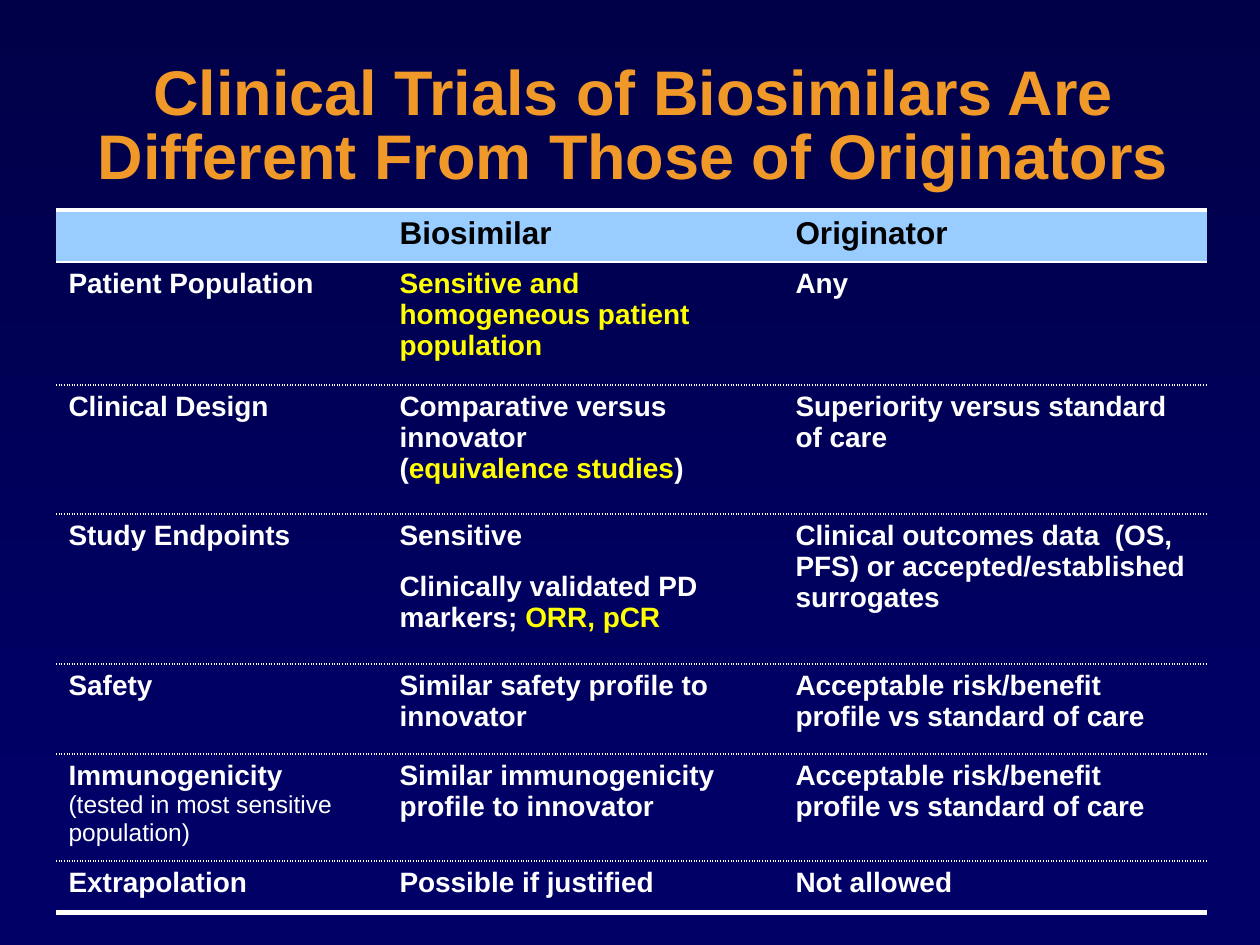
from dataclasses import dataclass

from lxml.etree import SubElement
from pptx import Presentation
from pptx.dml.color import RGBColor
from pptx.enum.shapes import MSO_SHAPE
from pptx.enum.text import MSO_ANCHOR, PP_ALIGN
from pptx.oxml import parse_xml
from pptx.oxml.ns import nsdecls, qn
from pptx.util import Emu, Pt

PX = 914400 / 126
COLORS = {
    "top": "000049",
    "navy": "000066",
    "title": "F09828",
    "header": "99CCFF",
    "white": "FFFFFF",
    "black": "000000",
    "yellow": "FFFF00",
}
NO_STYLE = "{2D5ABB26-0587-4C30-8999-92F81FD0307C}"


@dataclass(frozen=True)
class Run:
    text: str
    color: str = "white"
    size: int = 16
    bold: bool = True


@dataclass(frozen=True)
class Para:
    runs: tuple[Run, ...]
    before: float = 0


@dataclass(frozen=True)
class Rule:
    width: int
    dash: str = "solid"


@dataclass(frozen=True)
class Row:
    height: int
    cells: tuple[tuple[Para, ...], ...]
    fill: str | None = None


def px(n: int) -> Emu:
    return Emu(round(n * PX))


def rgb(name: str) -> RGBColor:
    return RGBColor.from_string(COLORS[name])


def text(s: str, **style) -> tuple[Para, ...]:
    return (Para((Run(s, **style),)),)


def write(p, para: Para) -> None:
    p.space_before = Pt(para.before)
    for run in para.runs:
        r = p.add_run()
        r.text = run.text
        formats = {"name": "Arial", "size": Pt(run.size), "bold": run.bold}
        for key, value in formats.items():
            setattr(r.font, key, value)
        r.font.color.rgb = rgb(run.color)


def add_rules(cell, top: Rule, bottom: Rule) -> None:
    tcPr = cell._tc.get_or_add_tcPr()
    for i, (tag, rule) in enumerate((("lnT", top), ("lnB", bottom))):
        tcPr.insert(i, parse_xml(
            f'<a:{tag} {nsdecls("a")} w="{Pt(rule.width)}"><a:solidFill>'
            f'<a:srgbClr val="{COLORS["white"]}"/></a:solidFill>'
            f'<a:prstDash val="{rule.dash}"/></a:{tag}>'))


def add_backdrop(s) -> None:
    s.background.fill.solid()
    s.background.fill.fore_color.rgb = rgb("navy")
    sp = s.shapes.add_shape(MSO_SHAPE.RECTANGLE, 0, 0, px(1260), px(809))
    sp.shadow.inherit = False
    sp.line.fill.background()
    sp.fill.gradient()
    sp.fill.gradient_angle = 270
    for stop, name in zip(sp.fill.gradient_stops, ("top", "navy")):
        stop.color.rgb = rgb(name)
    s.shapes._spTree.insert(2, sp._element)


def add_title(s, title: str) -> None:
    sp = s.shapes.title
    box = {"left": 9, "top": 107, "width": 1249, "height": 92}
    for key, value in box.items():
        setattr(sp, key, px(value))
    tf = sp.text_frame
    tf.word_wrap = True
    tf.vertical_anchor = MSO_ANCHOR.BOTTOM
    p = tf.paragraphs[0]
    p.alignment = PP_ALIGN.CENTER
    p.line_spacing = 0.85
    write(p, Para((Run(title, "title", 36),)))
    rPr = p.runs[0].font._element
    effects = parse_xml(
        f'<a:effectLst {nsdecls("a")}><a:outerShdw blurRad="38100" dist="38100" '
        f'dir="2700000"><a:srgbClr val="{COLORS["black"]}"/></a:outerShdw></a:effectLst>')
    rPr.find(qn("a:solidFill")).addnext(effects)


def add_comparison(s, rows: tuple[Row, ...], widths: tuple[int, ...]) -> None:
    frame = s.shapes.add_table(len(rows), len(widths), px(56), px(210),
                               px(sum(widths)), px(sum(row.height for row in rows)))
    table = frame.table
    table.first_row = table.horz_banding = False
    tblPr = table._tbl.tblPr
    style = tblPr.find(qn("a:tableStyleId"))
    if style is None:
        style = SubElement(tblPr, qn("a:tableStyleId"))
    style.text = NO_STYLE
    for column, width in zip(table.columns, widths):
        column.width = px(width)
    rules = [Rule(3), Rule(1)] + [Rule(1, "sysDot")] * (len(rows) - 2) + [Rule(3)]
    for i, row in enumerate(rows):
        table.rows[i].height = px(row.height)
        for j, paras in enumerate(row.cells):
            cell = table.cell(i, j)
            if row.fill:
                cell.fill.solid()
                cell.fill.fore_color.rgb = rgb(row.fill)
            else:
                cell.fill.background()
            add_rules(cell, rules[i], rules[i + 1])
            tf = cell.text_frame
            for k, para in enumerate(paras):
                write(tf.add_paragraph() if k else tf.paragraphs[0], para)


HEAD = {"color": "black", "size": 18}
RISK = text("Acceptable risk/benefit profile vs standard of care")
ROWS = (
    Row(52, ((), text("Biosimilar", **HEAD), text("Originator", **HEAD)), "header"),
    Row(123, (
        text("Patient Population"),
        text("Sensitive and homogeneous patient population", color="yellow"),
        text("Any"))),
    Row(129, (
        text("Clinical Design"),
        text("Comparative versus innovator")
        + (Para((Run("("), Run("equivalence studies", "yellow"), Run(")"))),),
        text("Superiority versus standard of care"))),
    Row(150, (
        text("Study Endpoints"),
        text("Sensitive")
        + (Para((Run("Clinically validated PD markers; "), Run("ORR, pCR", "yellow")), 11.5),),
        text("Clinical outcomes data  (OS, PFS) or accepted/established surrogates"))),
    Row(90, (text("Safety"), text("Similar safety profile to innovator"), RISK)),
    Row(107, (
        text("Immunogenicity")
        + text("(tested in most sensitive population)", size=14, bold=False),
        text("Similar immunogenicity profile to innovator"),
        RISK)),
    Row(52, (text("Extrapolation"), text("Possible if justified"), text("Not allowed")), "navy"),
)


def main() -> None:
    prs = Presentation()
    prs.slide_width, prs.slide_height = px(1260), px(945)
    s = prs.slides.add_slide(prs.slide_layouts[5])
    add_backdrop(s)
    add_title(s, "Clinical Trials of Biosimilars Are Different From Those of Originators")
    add_comparison(s, ROWS, (331, 396, 424))
    prs.save("out.pptx")


if __name__ == "__main__":
    main()
